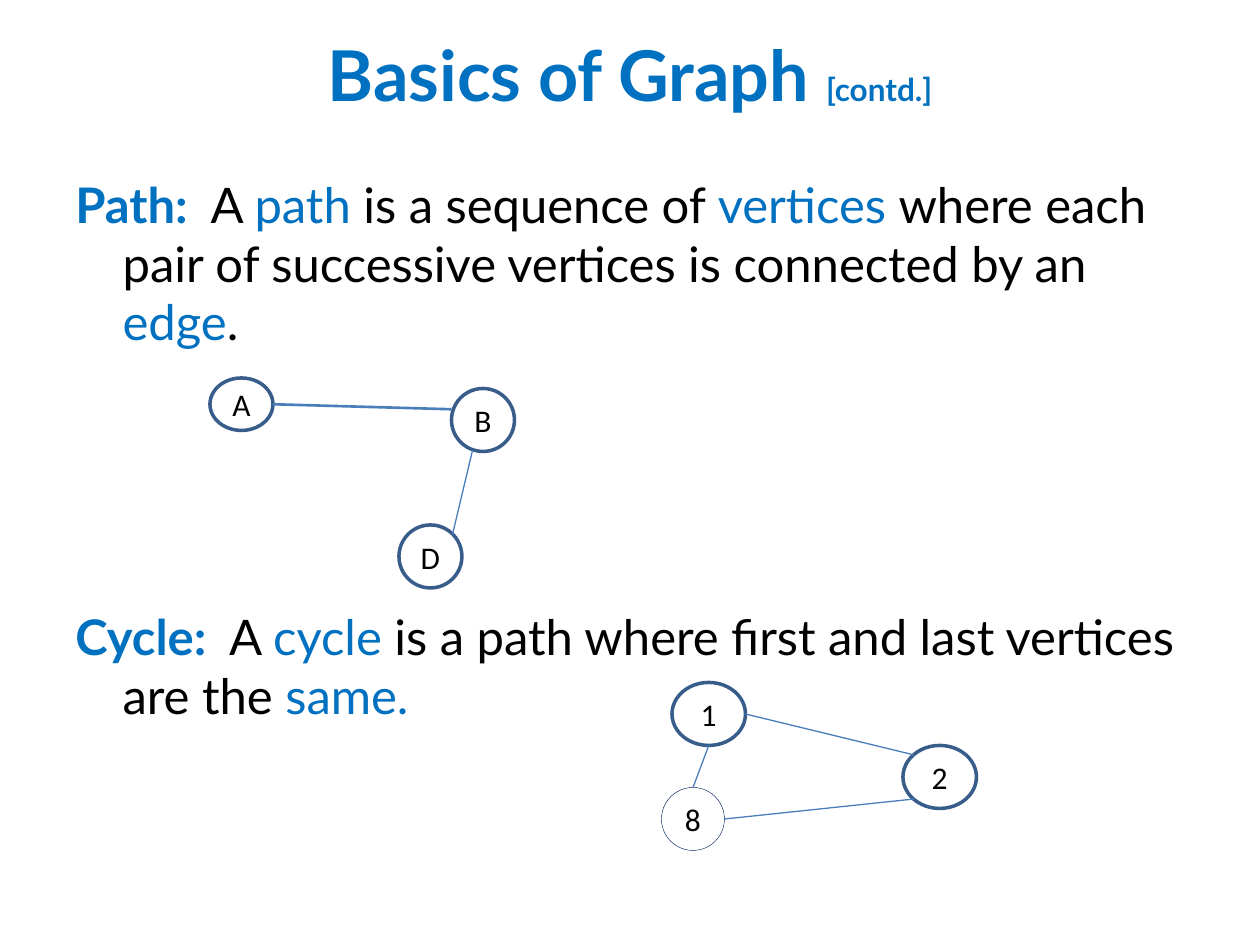
from lxml.etree import SubElement
from pptx import Presentation
from pptx.dml.color import RGBColor
from pptx.enum.shapes import MSO_CONNECTOR as Connector, MSO_SHAPE as Shape
from pptx.enum.text import MSO_ANCHOR as Anchor, PP_ALIGN as Align
from pptx.oxml.ns import qn
from pptx.util import Pt

COLORS = {"accent": "0070C0", "text": "000000", "ring": "385D8A", "thin_ring": "002060", "edge": "4A7EBB"}

TITLE = [("Basics of Graph ", "accent", True, 40), ("[contd.]", "accent", True, 18)]
DEFINITIONS = [
    [("Path: ", "accent", True, 28), (" A ", "text", False, 28), ("path ", "accent", False, 28),
     ("is a sequence of ", "text", False, 28), ("vertices ", "accent", False, 28),
     ("where each pair of successive vertices is connected by an ", "text", False, 28),
     ("edge", "accent", False, 28), (".", "text", False, 28)],
    [("Cycle: ", "accent", True, 28), (" A ", "text", False, 28), ("cycle", "accent", False, 28),
     (" is a path where first and last vertices are the ", "text", False, 28),
     ("same.", "accent", False, 28)],
]
DEFINITION_GAP = 146.2
HANGING = 27

NODES = {
    "A": (120, 216, 36, 30, "ring", 2),
    "B": (258, 222, 36, 36, "ring", 2),
    "D": (228, 300, 36, 36, "ring", 2),
    "1": (384, 390, 42, 36, "ring", 2),
    "2": (516, 426, 42, 36, "ring", 2),
    "8": (378, 450, 36, 36, "thin_ring", 0.25),
}
SITES = {
    "top": (0.5, 0), "right": (1, 0.5), "bottom": (0.5, 1),
    "top left": (0.15, 0.15), "top right": (0.85, 0.15), "bottom left": (0.15, 0.85),
    "upper left side": (0, 0.33), "lower left edge": (0.33, 1),
}
EDGES = [
    ("B", "lower left edge", "D", "top right", 0.75),
    ("A", "right", "B", "upper left side", 1.5),
    ("1", "right", "2", "top left", 0.75),
    ("2", "bottom left", "8", "right", 0.75),
    ("1", "bottom", "8", "top", 0.75),
]


def color(name):
    """Return the named colour."""
    return RGBColor.from_string(COLORS[name])


def write(frame, paragraphs, font="Lato", align=Align.LEFT, anchor=Anchor.TOP, gap=0, hanging=0, wrap=True):
    """Fill a text frame with paragraphs of (text, colour, bold, size) runs."""
    frame.word_wrap = wrap
    frame.vertical_anchor = anchor
    for index, runs in enumerate(paragraphs):
        paragraph = frame.add_paragraph() if index else frame.paragraphs[0]
        paragraph.alignment = align
        paragraph.space_before = Pt(gap if index else 0)
        if hanging:
            properties = paragraph._p.get_or_add_pPr()
            properties.set("marL", str(Pt(hanging)))
            properties.set("indent", str(-Pt(hanging)))
        for text, shade, bold, size in runs:
            run = paragraph.add_run()
            run.text = text
            run.font.name = font
            run.font.size = Pt(size)
            run.font.bold = bold
            run.font.color.rgb = color(shade)


def add_node(slide, label, left, top, width, height, ring, weight):
    """Draw one labelled graph node."""
    shape = slide.shapes.add_shape(Shape.OVAL, Pt(left), Pt(top), Pt(width), Pt(height))
    shape.shadow.inherit = False
    shape.fill.background()
    shape.line.color.rgb = color(ring)
    shape.line.width = Pt(weight)
    write(shape.text_frame, [[(label, "text", False, 18)]], font="Calibri",
          align=Align.CENTER, anchor=Anchor.MIDDLE, wrap=False)


def site_point(label, site):
    """Return the place of a named site on a node."""
    left, top, width, height = NODES[label][:4]
    across, down = SITES[site]
    return Pt(left + across * width), Pt(top + down * height)


def add_edge(slide, start, start_site, end, end_site, weight):
    """Draw one line between two node sites."""
    line = slide.shapes.add_connector(
        Connector.STRAIGHT, *site_point(start, start_site), *site_point(end, end_site))
    line.line.color.rgb = color("edge")
    line.line.width = Pt(weight)
    SubElement(line._element.spPr, qn("a:effectLst"))


def main():
    """Build the slide on paths and cycles."""
    presentation = Presentation()
    presentation.slide_width, presentation.slide_height = Pt(720), Pt(540)
    slide = presentation.slides.add_slide(presentation.slide_layouts[5])
    title = slide.shapes.title
    title.left, title.top, title.width, title.height = Pt(36), Pt(6), Pt(648), Pt(72)
    write(title.text_frame, [TITLE], align=Align.CENTER, anchor=Anchor.MIDDLE)
    body = slide.shapes.add_textbox(Pt(36), Pt(96), Pt(648), Pt(396))
    write(body.text_frame, DEFINITIONS, gap=DEFINITION_GAP, hanging=HANGING)
    for label, place in NODES.items():
        add_node(slide, label, *place)
    for edge in EDGES:
        add_edge(slide, *edge)
    presentation.save("out.pptx")


if __name__ == "__main__":
    main()
